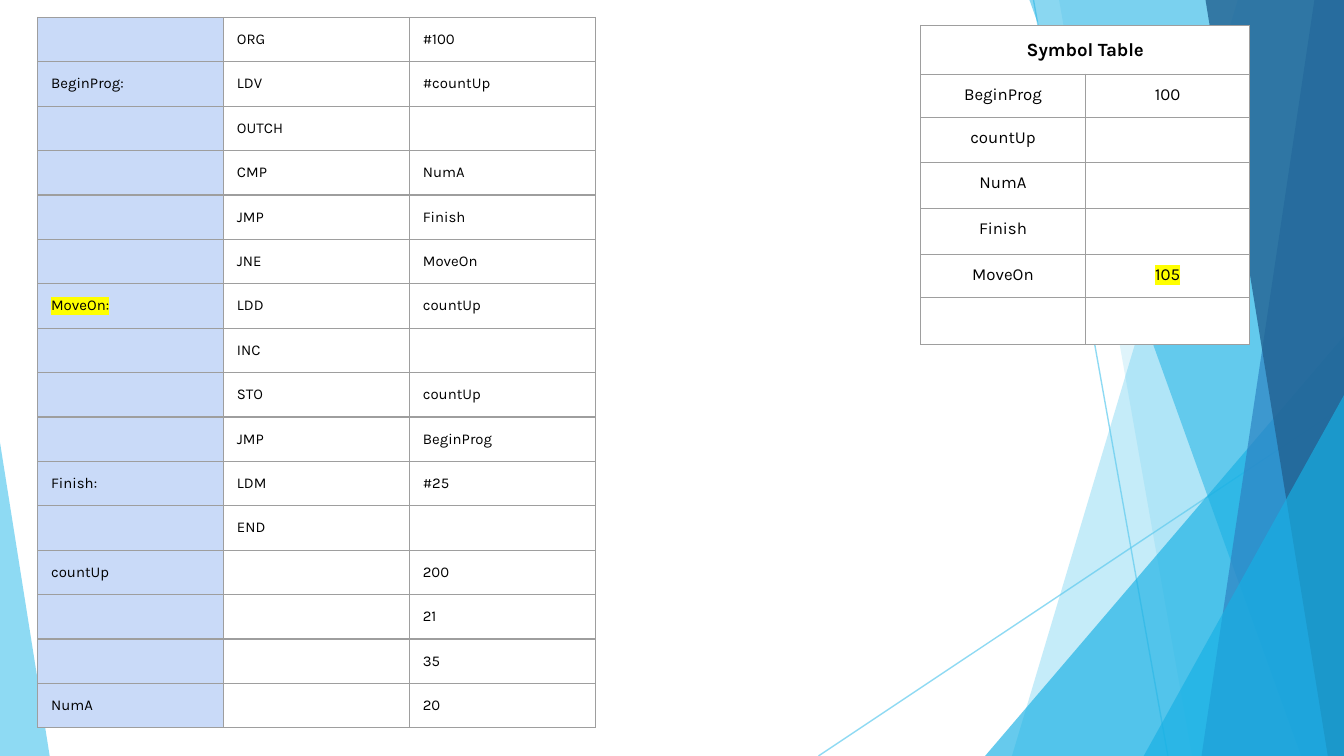
from lxml import etree
from pptx import Presentation
from pptx.dml.color import RGBColor
from pptx.enum.shapes import MSO_CONNECTOR, MSO_SHAPE
from pptx.enum.text import PP_ALIGN
from pptx.oxml.ns import qn
from pptx.util import Inches, Pt

STRAIGHT = MSO_CONNECTOR.STRAIGHT
TRIANGLE = MSO_SHAPE.ISOSCELES_TRIANGLE
LEFT, CENTER = PP_ALIGN.LEFT, PP_ALIGN.CENTER

WIDTH = 10
HEIGHT = WIDTH * 9 / 16
FONT = "Karla"
SKY, CYAN, BLUE, NAVY = "5FCBEF", "17B0E4", "2E83C3", "226292"
LABEL_BLUE, WHITE, BLACK, GREY, YELLOW = "C9DAF8", "FFFFFF", "000000", "9E9E9E", "FFFF00"

PROGRAM = [
    ("", "ORG", "#100"),
    ("BeginProg:", "LDV", "#countUp"),
    ("", "OUTCH", ""),
    ("", "CMP", "NumA"),
    ("", "JMP", "Finish"),
    ("", "JNE", "MoveOn"),
    ("MoveOn:", "LDD", "countUp"),
    ("", "INC", ""),
    ("", "STO", "countUp"),
    ("", "JMP", "BeginProg"),
    ("Finish:", "LDM", "#25"),
    ("", "END", ""),
    ("countUp", "", "200"),
    ("", "", "21"),
    ("", "", "35"),
    ("NumA", "", "20"),
]
SYMBOLS = [
    ("Symbol Table", ""),
    ("BeginProg", "100"),
    ("countUp", ""),
    ("NumA", ""),
    ("Finish", ""),
    ("MoveOn", "105"),
    ("", ""),
]
SYMBOL_HEIGHTS = [0.36, 0.32, 0.34, 0.34, 0.34, 0.32, 0.35]
HIGHLIGHTED = {"MoveOn:", "105"}


def color(value):
    return RGBColor.from_string(value)


def paint(fill, value, opacity=100):
    fill.solid()
    fill.fore_color.rgb = color(value)
    if opacity < 100:
        for node in fill._xPr.iter(qn("a:srgbClr")):
            etree.SubElement(node, qn("a:alpha"), val=str(opacity * 1000))


def finish_facet(shape, value, opacity):
    shape.shadow.inherit = False
    paint(shape.fill, value, opacity)
    shape.line.fill.background()


def add_ray(page, start, end):
    ray = page.shapes.add_connector(STRAIGHT, *map(Inches, start + end))
    ray.line.width = Pt(0.75)
    paint(ray.line.fill, SKY, 70)
    etree.SubElement(ray._element.spPr, qn("a:effectLst"))


def add_band(page, top_left, bottom_left, bottom_right, value, opacity):
    """Four-sided band from the top edge to the bottom, ending at the right edge."""
    points = [(WIDTH, 0), (WIDTH, HEIGHT), (bottom_right, HEIGHT), (bottom_left, HEIGHT)]
    # A band that reaches the bottom right corner, or narrows to one point, has fewer corners
    points = [(Inches(x), Inches(y)) for x, y in dict.fromkeys(points)]
    builder = page.shapes.build_freeform(Inches(top_left), 0)
    builder.add_line_segments(points, close=True)
    finish_facet(builder.convert_to_shape(), value, opacity)


def add_corner(page, left, top, width, peak, value, opacity):
    """Right-angled triangle standing on the bottom edge."""
    box = (left, top, width, HEIGHT - top)
    corner = page.shapes.add_shape(TRIANGLE, *map(Inches, box))
    corner.adjustments[0] = peak
    finish_facet(corner, value, opacity)


def add_backdrop(page):
    add_ray(page, (7.69, 0), (8.69, HEIGHT))
    add_ray(page, (WIDTH, 3.02), (6.09, HEIGHT))
    add_band(page, 9.21, 7.53, WIDTH, SKY, 36)
    add_band(page, 7.88, 8.87, WIDTH, SKY, 20)
    add_corner(page, 7.33, 2.5, 2.67, 1, CYAN, 66)
    add_band(page, 7.66, 9.68, WIDTH, CYAN, 50)
    add_band(page, 9.78, 8.94, WIDTH, BLUE, 70)
    add_band(page, 8.97, 9.88, WIDTH, NAVY, 80)
    add_corner(page, 8.51, 2.94, 1.49, 1, CYAN, 66)
    add_corner(page, 0, 3.29, 0.37, 0, SKY, 70)


def fill_cell(cell, text, size, fill, align=LEFT, spacing=None, bold=False):
    # Borders come before the fill in the cell's properties
    props = cell._tc.get_or_add_tcPr()
    for side in ("lnL", "lnR", "lnT", "lnB"):
        border = etree.SubElement(props, qn("a:" + side), w=str(Pt(0.75)))
        solid = etree.SubElement(border, qn("a:solidFill"))
        etree.SubElement(solid, qn("a:srgbClr"), val=GREY)
    paint(cell.fill, fill)
    cell.margin_left = cell.margin_right = Inches(0.1)
    cell.margin_top = cell.margin_bottom = Inches(0.1)

    para = cell.text_frame.paragraphs[0]
    if not text:
        # A small end mark keeps an empty cell from stretching its row
        etree.SubElement(para._p, qn("a:endParaRPr"), sz="400")
        return
    para.alignment = align
    if spacing:
        para.line_spacing = spacing
    span = para.add_run()
    span.text = text
    span.font.size = Pt(size)
    span.font.bold = bold
    span.font.name = FONT
    span.font.color.rgb = color(BLACK)
    if text in HIGHLIGHTED:
        mark = etree.Element(qn("a:highlight"))
        etree.SubElement(mark, qn("a:srgbClr"), val=YELLOW)
        span.font._element.find(qn("a:solidFill")).addnext(mark)


def add_grid(page, left, top, width, heights, column_count):
    frame = page.shapes.add_table(
        len(heights), column_count,
        Inches(left), Inches(top), Inches(width), Inches(sum(heights)))
    table = frame.table
    table.first_row = table.horz_banding = False
    for row, height in zip(table.rows, heights):
        row.height = Inches(height)
    return table


def add_program(page, left, top, width):
    table = add_grid(page, left, top, width, [0.33] * len(PROGRAM), 3)
    for row, texts in enumerate(PROGRAM):
        for column, text in enumerate(texts):
            fill = WHITE if column else LABEL_BLUE
            fill_cell(table.cell(row, column), text, 8, fill)


def add_symbols(page, left, top, width):
    table = add_grid(page, left, top, width, SYMBOL_HEIGHTS, 2)
    table.cell(0, 0).merge(table.cell(0, 1))
    for row, texts in enumerate(SYMBOLS):
        size, spacing = (9, 0.8) if row else (10, None)
        for column, text in enumerate(texts):
            fill_cell(table.cell(row, column), text, size, WHITE, CENTER, spacing, row == 0)


def main():
    deck = Presentation()
    deck.slide_width, deck.slide_height = Inches(WIDTH), Inches(HEIGHT)
    page = deck.slides.add_slide(deck.slide_layouts[6])
    add_backdrop(page)
    add_program(page, 0.28, 0.13, 4.15)
    add_symbols(page, 6.85, 0.19, 2.45)
    deck.save("out.pptx")


if __name__ == "__main__":
    main()
